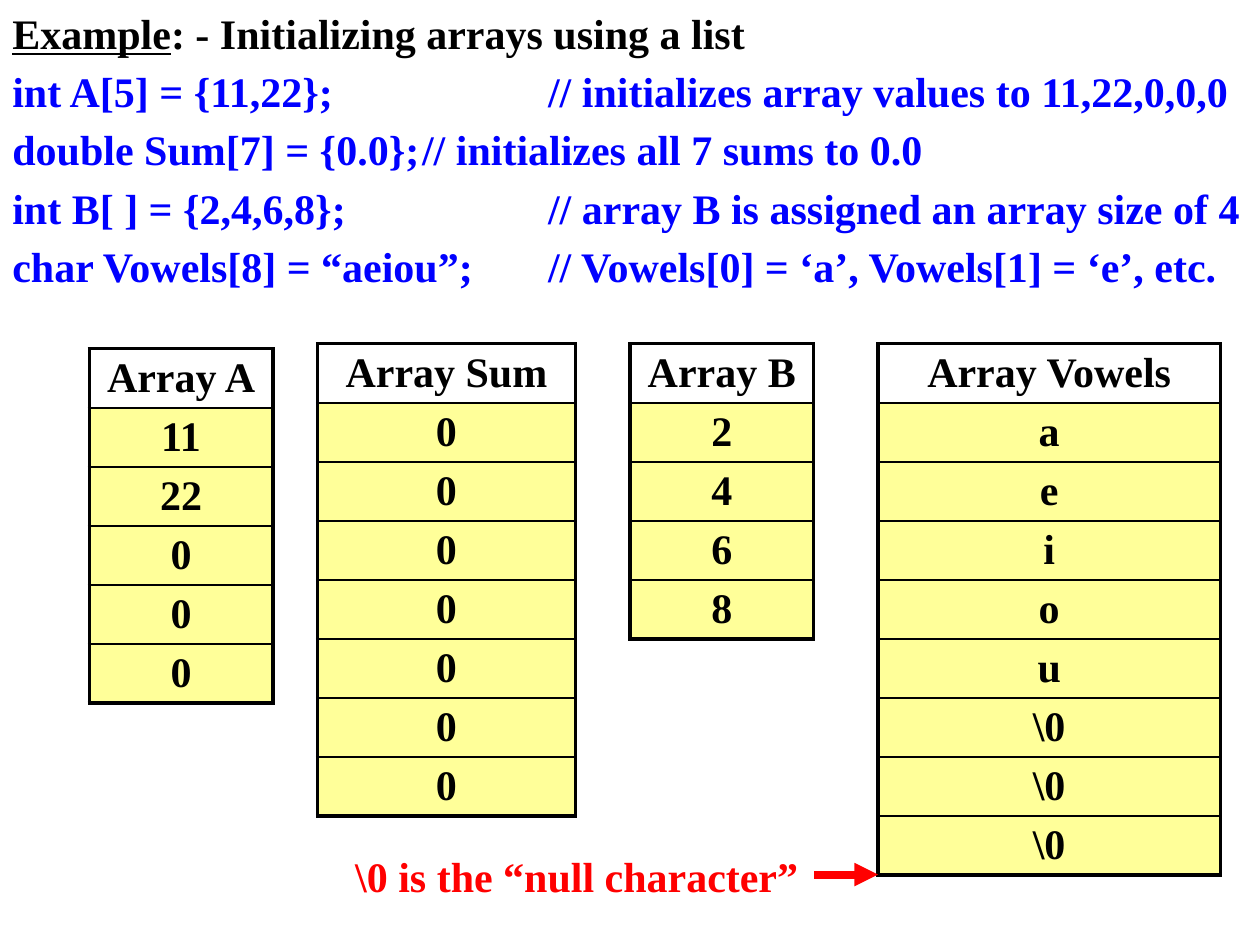
from lxml import etree
from pptx import Presentation
from pptx.dml.color import RGBColor
from pptx.enum.shapes import MSO_CONNECTOR
from pptx.enum.text import MSO_ANCHOR, PP_ALIGN
from pptx.oxml.ns import qn
from pptx.util import Cm, Pt

STRAIGHT = MSO_CONNECTOR.STRAIGHT
MIDDLE = MSO_ANCHOR.MIDDLE
CENTER = PP_ALIGN.CENTER

BLACK, WHITE, BLUE, RED, YELLOW = "000000", "FFFFFF", "0000FF", "FF0000", "FFFF99"
THICK, THIN = Pt(2.25), Pt(1)
ROW_HEIGHT = 1.19

CODE_LINES = [
    "int A[5] = {11,22}; \t\t// initializes array values to 11,22,0,0,0",
    "double Sum[7] = {0.0};\t// initializes all 7 sums to 0.0",
    "int B[ ] = {2,4,6,8};\t\t// array B is assigned an array size of 4",
    "char Vowels[8] = “aeiou”;\t// Vowels[0] = ‘a’, Vowels[1] = ‘e’, etc.",
]

# Left, top and width in cm, heading, values
ARRAYS = [
    (1.8, 7.03, 3.7, "Array A", ["11", "22", "0", "0", "0"]),
    (6.4, 6.93, 5.2, "Array Sum", ["0"] * 7),
    (12.7, 6.93, 3.7, "Array B", ["2", "4", "6", "8"]),
    (17.7, 6.93, 6.9, "Array Vowels", list("aeiou") + ["\\0"] * 3),
]


def color(hex_text):
    return RGBColor.from_string(hex_text)


def style(para, hex_text):
    font = para.font
    font.name, font.size, font.bold = "Times New Roman", Pt(24), True
    font.color.rgb = color(hex_text)


def add_code(page, left, top, width, height):
    """Underlined heading followed by the declarations."""
    box = page.shapes.add_textbox(Cm(left), Cm(top), Cm(width), Cm(height))
    frame = box.text_frame
    frame.word_wrap = True
    frame.margin_top = Cm(0.15)
    frame.margin_right = Cm(0)
    for index, line in enumerate(["Example"] + CODE_LINES):
        para = frame.paragraphs[0] if index == 0 else frame.add_paragraph()
        span = para.add_run()
        span.text = line
        if index == 0:
            span.font.underline = True
            para.add_run().text = ": - Initializing arrays using a list"
        style(para, BLUE if index else BLACK)
        para.space_after = Pt(4.5)
        # Hanging indent, one custom tab stop, then a stop every 2.54 cm
        props = para._p.get_or_add_pPr()
        props.set("marL", str(Cm(0.64)))
        props.set("indent", str(-Cm(0.64)))
        props.set("defTabSz", str(Cm(2.54)))
        tabs = etree.Element(qn("a:tabLst"))
        etree.SubElement(tabs, qn("a:tab"), pos=str(Cm(3.35)), algn="l")
        props.find(qn("a:spcAft")).addnext(tabs)


def set_borders(cell, top, bottom):
    props = cell._tc.get_or_add_tcPr()
    sides = [("L", THICK), ("R", THICK), ("T", top), ("B", bottom)]
    for position, (side, weight) in enumerate(sides):
        line = etree.Element(qn("a:ln" + side), w=str(weight))
        fill = etree.SubElement(line, qn("a:solidFill"))
        etree.SubElement(fill, qn("a:srgbClr"), val=BLACK)
        props.insert(position, line)


def add_array(page, left, top, width, heading, values):
    """One-column table: white heading, yellow values."""
    texts = [heading] + values
    last = len(texts) - 1
    table = page.shapes.add_table(len(texts), 1, Cm(left), Cm(top), Cm(width),
                                  Cm(ROW_HEIGHT * len(texts))).table
    table.first_row = table.horz_banding = False
    for index, text in enumerate(texts):
        table.rows[index].height = Cm(ROW_HEIGHT)
        cell = table.cell(index, 0)
        cell.text = text
        cell.vertical_anchor = MIDDLE
        cell.margin_top = cell.margin_bottom = Cm(0.08)
        para = cell.text_frame.paragraphs[0]
        para.alignment = CENTER
        style(para, BLACK)
        cell.fill.solid()
        cell.fill.fore_color.rgb = color(YELLOW if index else WHITE)
        set_borders(cell, THIN if index else THICK, THICK if index == last else THIN)


def add_null_note(page, left, top, width, height):
    """Red label with an arrow running to the right edge of the region."""
    label_width = 9.45
    box = page.shapes.add_textbox(Cm(left), Cm(top), Cm(label_width), Cm(height))
    box.text_frame.word_wrap = False
    para = box.text_frame.paragraphs[0]
    para.text = "\\0 is the “null character”"
    para.line_spacing = 0.8
    style(para, RED)

    arrow_y = Cm(top + 0.41)
    arrow = page.shapes.add_connector(STRAIGHT, Cm(left + label_width + 0.05), arrow_y,
                                      Cm(left + width), arrow_y)
    arrow.line.width = Pt(4.5)
    arrow.line.color.rgb = color(RED)
    etree.SubElement(arrow.line._get_or_add_ln(), qn("a:tailEnd"), type="triangle")
    etree.SubElement(arrow._element.spPr, qn("a:effectLst"))


def main():
    deck = Presentation()
    deck.slide_width, deck.slide_height = Cm(25.4), Cm(19.05)
    page = deck.slides.add_slide(deck.slide_layouts[6])
    add_code(page, 0, 0, 25.4, 6.3)
    for array in ARRAYS:
        add_array(page, *array)
    add_null_note(page, 6.91, 17.22, 10.79, 1.07)
    deck.save("out.pptx")


if __name__ == "__main__":
    main()
